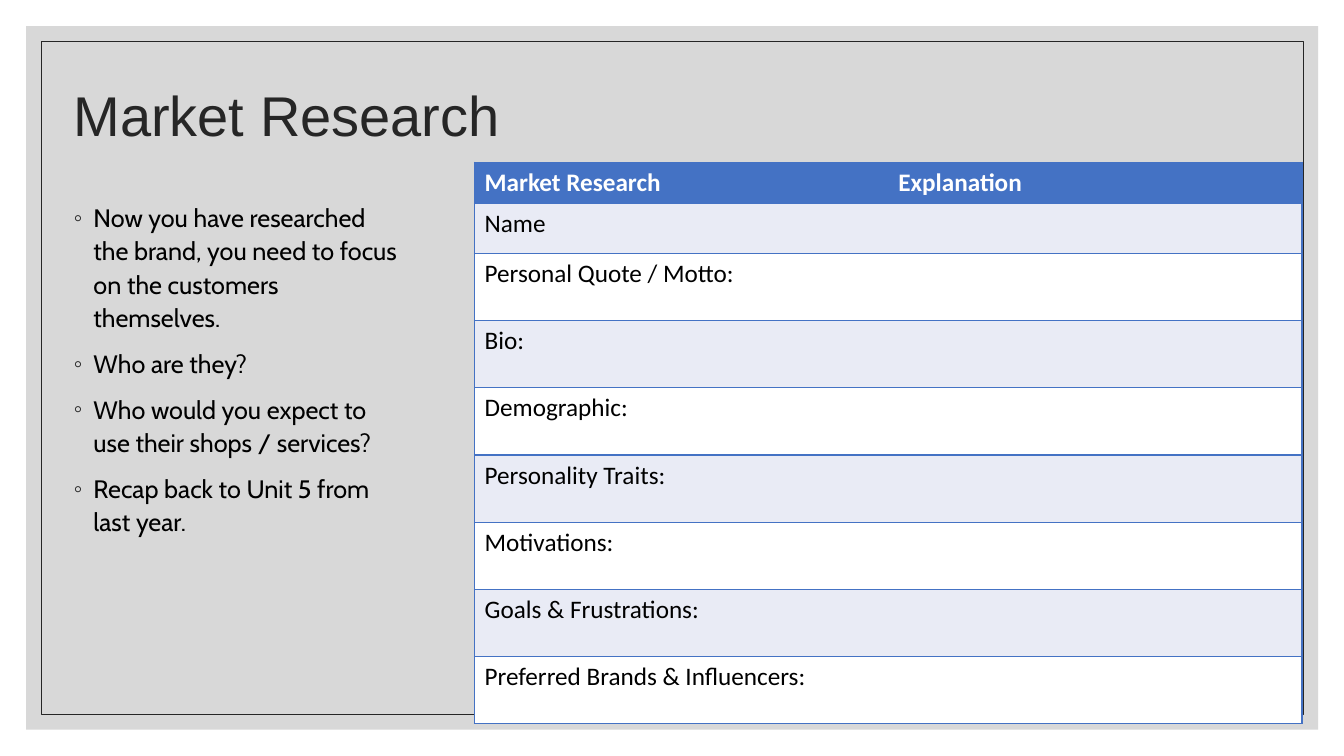
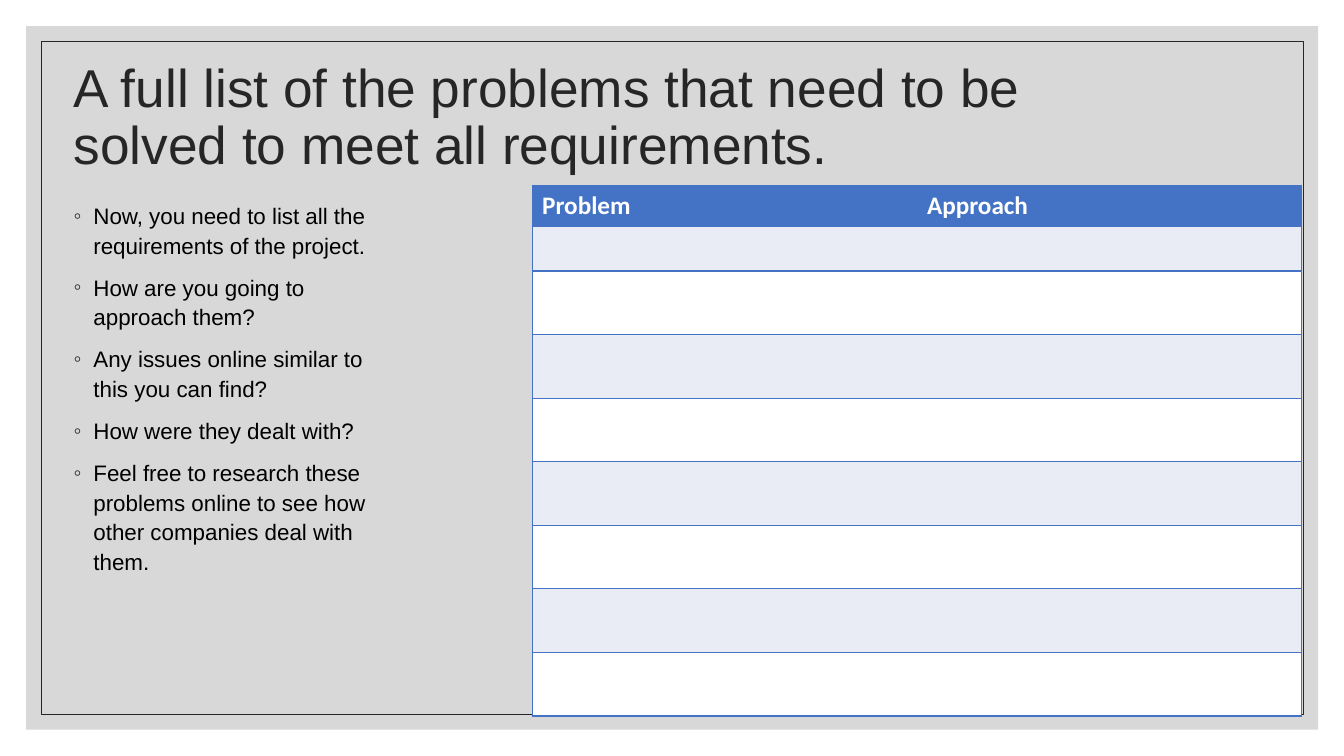
from lxml.etree import SubElement
from pptx import Presentation
from pptx.dml.color import RGBColor
from pptx.enum.shapes import MSO_SHAPE
from pptx.enum.text import MSO_ANCHOR, MSO_AUTO_SIZE, PP_ALIGN
from pptx.oxml.ns import qn
from pptx.util import Cm, Pt

INK, BLACK, WHITE = "262626", "000000", "FFFFFF"
BAND, ACCENT, STRIPE = "BFBFBF", "4472C4", "E9EBF5"

# Boxes in cm: left, top, width, height
SLIDE_SIZE = (33.87, 19.05)
BAND_BOX = (0.66, 0.66, 32.56, 17.73)
BORDER_BOX = (1.04, 1.04, 31.8, 16.97)
TITLE_BOX = (1.6, 1.09, 30.43, 3.81)
BODY_BOX = (1.6, 4.9, 8.69, 12.78)
HEADER_HEIGHT = 1.03


def rgb(hex_color):
    return RGBColor.from_string(hex_color)


def cm_box(box):
    return [Cm(length) for length in box]


def style_runs(paragraph, font, size, color, bold=False):
    for run in paragraph.runs:
        run.font.name = font
        run.font.size = Pt(size)
        run.font.bold = bold
        run.font.color.rgb = rgb(color)


def add_color(parent, tag, hex_color):
    SubElement(SubElement(parent, qn(tag)), qn("a:srgbClr"), val=hex_color)


def place(shape, box):
    shape.left, shape.top, shape.width, shape.height = cm_box(box)


def build_layout(layout, slide):
    """Set the shared placeholder boxes and move the frame behind them."""
    title, body = layout.placeholders[0], layout.placeholders[1]
    place(title, TITLE_BOX)
    place(body, BODY_BOX)

    # Translucent band
    band = slide.shapes.add_shape(MSO_SHAPE.RECTANGLE, *cm_box(BAND_BOX))
    band.fill.solid()
    band.fill.fore_color.rgb = rgb(BAND)
    band_color = band.element.spPr.find(qn("a:solidFill"))[0]
    SubElement(band_color, qn("a:alpha"), val="60000")
    band.line.fill.background()

    # Thin border
    border = slide.shapes.add_shape(MSO_SHAPE.RECTANGLE, *cm_box(BORDER_BOX))
    border.fill.background()
    border.line.color.rgb = rgb(INK)
    border.line.width = Pt(0.5)

    for position, part in enumerate((band, border), start=2):
        part.shadow.inherit = False
        layout.shapes.element.insert(position, part.element)


def fill_title(title, text, size):
    frame = title.text_frame
    frame.text = text
    frame.auto_size = MSO_AUTO_SIZE.NONE
    frame.vertical_anchor = MSO_ANCHOR.MIDDLE
    paragraph = frame.paragraphs[0]
    paragraph.alignment = PP_ALIGN.LEFT
    paragraph.line_spacing = 0.9
    style_runs(paragraph, "Arial", size, INK)


def fill_prompts(body, prompts, font, size):
    frame = body.text_frame
    frame.text = "\n".join(prompts)
    frame.auto_size = MSO_AUTO_SIZE.NONE
    frame.vertical_anchor = MSO_ANCHOR.TOP
    for paragraph in frame.paragraphs:
        paragraph.line_spacing = 1.1
        paragraph.space_before = Pt(9)
        style_runs(paragraph, font, size, BLACK)
        # Hanging bullet
        properties = paragraph._p.get_or_add_pPr()
        indent = Cm(0.5)
        properties.set("marL", str(indent))
        properties.set("indent", str(-indent))
        add_color(properties, "a:buClr", INK)
        SubElement(properties, qn("a:buChar"), char="◦")


def set_borders(cell, outer_side):
    """Draw the top, bottom and outer side; clear the inner side."""
    properties = cell._tc.get_or_add_tcPr()
    for side in ("L", "R", "T", "B"):
        line = SubElement(properties, qn(f"a:ln{side}"), w=str(Pt(1)))
        if side in ("T", "B", outer_side):
            add_color(line, "a:solidFill", ACCENT)
        else:
            SubElement(line, qn("a:noFill"))


def add_worksheet(slide, box, headings, labels, first_row_height):
    """Two-column form; rows after the first share the height left over."""
    rows = [headings] + [(label, "") for label in labels]
    table = slide.shapes.add_table(len(rows), 2, *cm_box(box)).table
    rest = (box[3] - HEADER_HEIGHT - first_row_height) / (len(labels) - 1)
    heights = [HEADER_HEIGHT, first_row_height] + [rest] * (len(labels) - 1)

    for column in table.columns:
        column.width = Cm(box[2] / 2)
    for index, (texts, height) in enumerate(zip(rows, heights)):
        table.rows[index].height = Cm(height)
        is_header = index == 0
        fill = ACCENT if is_header else STRIPE if index % 2 else WHITE
        for cell, text, outer_side in zip(table.rows[index].cells, texts, "LR"):
            cell.text = text
            style_runs(cell.text_frame.paragraphs[0], "Calibri", 18,
                       WHITE if is_header else BLACK, is_header)
            set_borders(cell, outer_side)
            cell.fill.solid()
            cell.fill.fore_color.rgb = rgb(fill)


def build_market_research(slide):
    fill_title(slide.shapes.title, "Market Research", 40)
    fill_prompts(slide.placeholders[1], [
        "Now you have researched the brand, you need to focus on the customers themselves.",
        "Who are they?",
        "Who would you expect to use their shops / services?",
        "Recap back to Unit 5 from last year.",
    ], "Cabin", 18)
    persona_fields = [
        "Name", "Personal Quote / Motto:", "Bio:", "Demographic:",
        "Personality Traits:", "Motivations:", "Goals & Frustrations:",
        "Preferred Brands & Influencers:",
    ]
    add_worksheet(slide, (11.96, 4.09, 20.85, 14.15),
                  ("Market Research", "Explanation"), persona_fields, 1.27)


def build_problem_list(slide):
    fill_title(slide.shapes.title,
               "A full list of the problems that need to be\v"
               "solved to meet all requirements.", 38)
    fill_prompts(slide.placeholders[1], [
        "Now, you need to list all the requirements of the project.",
        "How are you going to approach them?",
        "Any issues online similar to this you can find?",
        "How were they dealt with?",
        "Feel free to research these problems online to see how other companies deal with them.",
    ], "Arial", 16)
    add_worksheet(slide, (13.41, 4.67, 19.4, 13.38),
                  ("Problem", "Approach"), [""] * 8, 1.13)


def main():
    deck = Presentation()
    deck.slide_width, deck.slide_height = cm_box(SLIDE_SIZE)
    layout = deck.slide_layouts[1]
    research, problems = [deck.slides.add_slide(layout) for _ in range(2)]
    build_layout(layout, research)
    build_market_research(research)
    build_problem_list(problems)
    deck.save("out.pptx")


if __name__ == "__main__":
    main()
